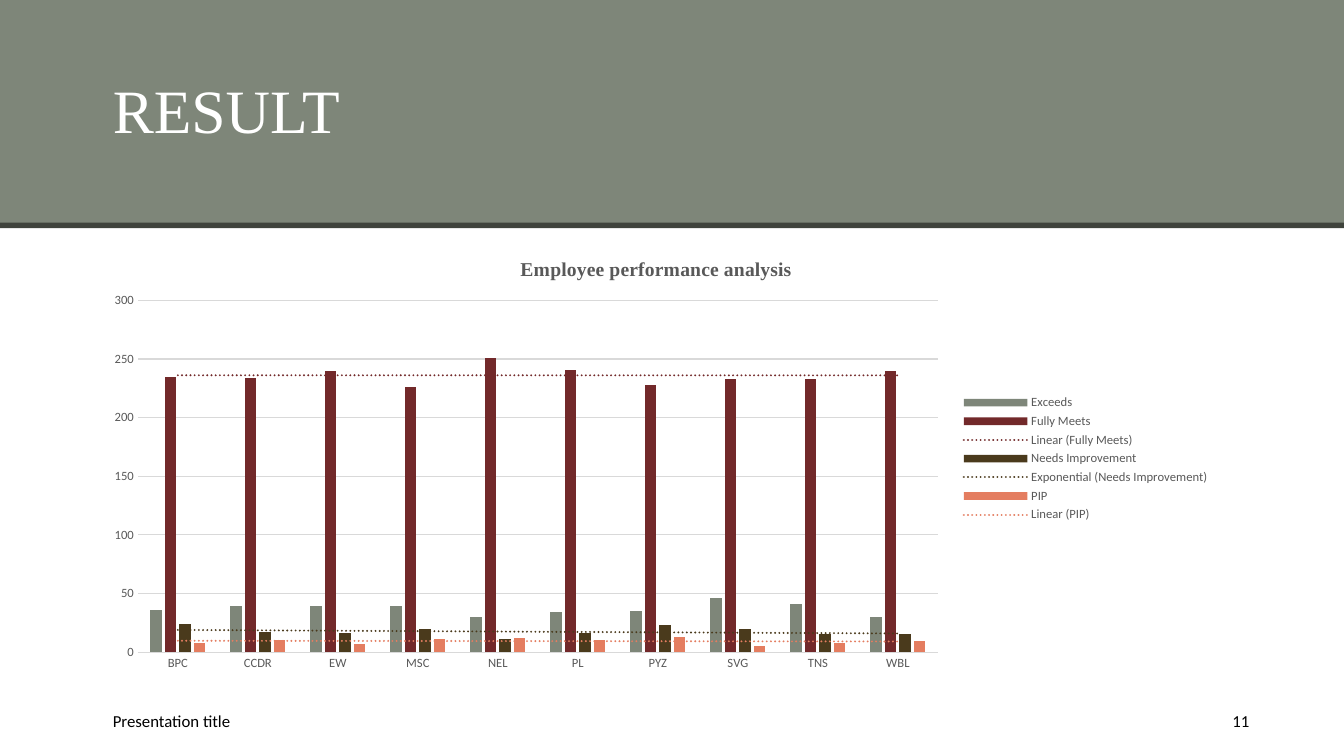
from lxml import etree
from pptx import Presentation
from pptx import util as u
from pptx.chart import data
from pptx.dml import color
from pptx.enum import chart as ch, shapes, text
from pptx.oxml import ns

SAGE, WINE, BROWN, CORAL = "7E8679", "72292A", "4A3A1C", "E47D60"
GREY, GRID = "595959", "D9D9D9"
BODY, HEAD = "Calibri", "Times New Roman"

SITES = ["BPC", "CCDR", "EW", "MSC", "NEL", "PL", "PYZ", "SVG", "TNS", "WBL"]
# Name, colour, trend type, values
RATINGS = [
    ("Exceeds", SAGE, None, [36, 39, 39, 39, 30, 34, 35, 46, 41, 30]),
    ("Fully Meets", WINE, "linear",
     [235, 234, 240, 226, 251, 241, 228, 233, 233, 240]),
    ("Needs Improvement", BROWN, "exp",
     [24, 17, 16, 20, 11, 16, 23, 20, 15, 15]),
    ("PIP", CORAL, "linear", [8, 10, 7, 11, 12, 10, 13, 5, 8, 9]),
]

SPACES = ns.nsdecls("c", "a")


def rgb(code):
    return color.RGBColor.from_string(code)


def box(*sides):
    return [u.Pt(side) for side in sides]


class Deck:
    def __init__(self):
        self.show = Presentation()
        self.show.slide_width, self.show.slide_height = box(960, 540)
        self.slide = self.show.slides.add_slide(self.show.slide_layouts[6])

    def font(self, font, size, tint, face=BODY, bold=False):
        font.size, font.name, font.bold = u.Pt(size), face, bold
        font.color.rgb = rgb(tint)

    def band(self, top, height, tint):
        shape = self.slide.shapes.add_shape(
            shapes.MSO_SHAPE.RECTANGLE, *box(0, top, 960, height))
        shape.shadow.inherit = False
        shape.fill.solid()
        shape.fill.fore_color.rgb = rgb(tint)
        shape.line.fill.background()

    def label(self, words, place, size, tint, face=BODY, right=False):
        frame = self.slide.shapes.add_textbox(*box(*place)).text_frame
        frame.word_wrap = True
        frame.vertical_anchor = text.MSO_ANCHOR.MIDDLE
        frame.text = words
        para = frame.paragraphs[0]
        para.alignment = text.PP_ALIGN.RIGHT if right else text.PP_ALIGN.LEFT
        self.font(para.runs[0].font, size, tint, face)
        return para

    def trend(self, series, kind, tint):
        line = etree.fromstring(
            f'<c:trendline {SPACES}><c:spPr>'
            f'<a:ln w="{u.Pt(1.5)}" cap="rnd"><a:solidFill>'
            f'<a:srgbClr val="{tint}"/></a:solidFill>'
            '<a:prstDash val="sysDot"/></a:ln></c:spPr>'
            f'<c:trendlineType val="{kind}"/>'
            '<c:dispRSqr val="0"/><c:dispEq val="0"/></c:trendline>')
        series._element.find(ns.qn("c:cat")).addprevious(line)

    def layout(self, chart, x, y, w, h):
        area = chart._chartSpace.chart.plotArea
        for old in area.findall(ns.qn("c:layout")):
            area.remove(old)
        area.insert(0, etree.fromstring(
            f'<c:layout {SPACES}><c:manualLayout><c:layoutTarget val="inner"/>'
            '<c:xMode val="edge"/><c:yMode val="edge"/>'
            f'<c:x val="{x}"/><c:y val="{y}"/><c:w val="{w}"/>'
            f'<c:h val="{h}"/></c:manualLayout></c:layout>'))

    def columns(self, title, cats, rows, place):
        table = data.CategoryChartData()
        table.categories = cats
        for name, _, _, values in rows:
            table.add_series(name, values)
        chart = self.slide.shapes.add_chart(
            ch.XL_CHART_TYPE.COLUMN_CLUSTERED, *box(*place), table).chart
        self.font(chart.font, 10, "000000")

        # Title and legend
        chart.has_title = True
        frame = chart.chart_title.text_frame
        frame.text = title
        self.font(frame.paragraphs[0].runs[0].font, 14, GREY, HEAD, True)
        chart.chart_title.include_in_layout = False
        chart.has_legend = True
        chart.legend.position = ch.XL_LEGEND_POSITION.RIGHT
        chart.legend.include_in_layout = False
        self.font(chart.legend.font, 9, GREY)

        # Axes
        cat, val = chart.category_axis, chart.value_axis
        for axis in (cat, val):
            axis.major_tick_mark = ch.XL_TICK_MARK.NONE
            axis.minor_tick_mark = ch.XL_TICK_MARK.NONE
            self.font(axis.tick_labels.font, 9, GREY)
        val.minimum_scale, val.maximum_scale, val.major_unit = 0, 300, 50
        val.format.line.fill.background()
        val.has_major_gridlines = True
        for line in (cat.format.line, val.major_gridlines.format.line):
            line.width = u.Pt(0.75)
            line.color.rgb = rgb(GRID)

        # Columns and trend lines
        plot = chart.plots[0]
        plot.gap_width, plot.overlap = 219, -27
        plot.vary_by_categories = False
        for series, (_, tint, kind, _) in zip(plot.series, rows):
            series.format.fill.solid()
            series.format.fill.fore_color.rgb = rgb(tint)
            series.invert_if_negative = False
            if kind:
                self.trend(series, kind, tint)
        return chart


def main():
    deck = Deck()

    # Header
    deck.band(0, 161, SAGE)
    deck.band(159, 4, "3F433C")
    head = deck.label("RESULT", (73.5, 18, 750, 126), 44, "FFFFFF", HEAD)
    head.line_spacing = 0.9

    # Chart
    chart = deck.columns("Employee performance analysis", SITES, RATINGS,
                         (66.25, 170.65, 805, 314))
    deck.layout(chart, 0.04, 0.14, 0.71, 0.8)

    # Footer
    deck.label("Presentation title", (73.5, 500.5, 324, 29), 12, "000000")
    deck.label("11", (837.5, 500.5, 62, 29), 12, "000000", right=True)

    deck.show.save("out.pptx")


if __name__ == "__main__":
    main()
